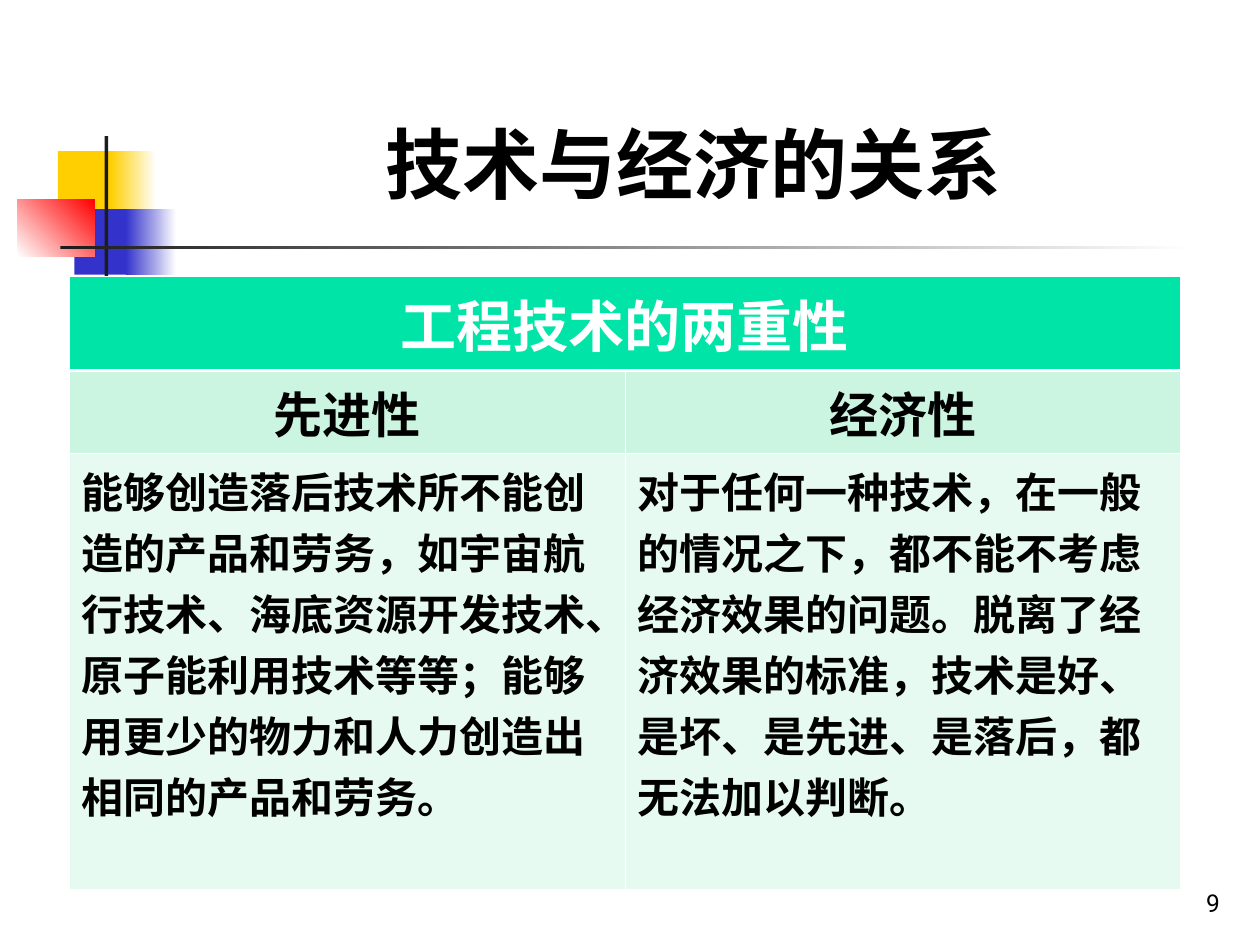
from dataclasses import dataclass

from lxml.etree import SubElement
from pptx import Presentation
from pptx.dml.color import RGBColor
from pptx.enum.text import MSO_ANCHOR, PP_ALIGN
from pptx.enum.shapes import MSO_SHAPE
from pptx.oxml import parse_xml
from pptx.oxml.ns import nsdecls, qn
from pptx.util import Inches, Pt


@dataclass(frozen=True)
class Theme:
    heading_font: str = "Noto Sans CJK SC"
    number_font: str = "Roboto"
    black: str = "000000"
    white: str = "FFFFFF"
    yellow: str = "FFCF01"
    blue: str = "3333CC"
    red: str = "FF0000"
    rule: str = "1C1C1C"
    header_fill: str = "00E4A8"
    subheader_fill: str = "CBF5E1"
    body_fill: str = "E7FAF1"
    title_size: int = 44
    header_size: int = 32
    subheader_size: int = 28
    body_size: int = 24
    number_size: int = 14
    thin_border: float = 0.45
    thick_border: float = 1.47


THEME = Theme()

# Left, top, width, height, colours (one is solid, two a gradient), angle
ORNAMENTS = [
    (0.46, 1.2, 0.48, 0.52, [THEME.yellow], 0),
    (0.88, 1.2, 0.36, 0.52, [THEME.yellow, THEME.white], 0),
    (0.59, 1.66, 0.46, 0.52, [THEME.blue], 0),
    (1, 1.66, 0.4, 0.52, [THEME.blue, THEME.white], 0),
    (0.14, 1.58, 0.61, 0.46, [THEME.white, THEME.red], 45),
    (0.83, 1.08, 0.03, 1.15, [THEME.rule], 0),
    (0.48, 1.95, 9, 0.03, [THEME.rule, THEME.white], 0),
]

TABLE_HEADER = "工程技术的两重性"
ASPECTS = {
    "先进性": "能够创造落后技术所不能创造的产品和劳务，如宇宙航行技术、海底资源开发技术、"
           "原子能利用技术等等；能够用更少的物力和人力创造出相同的产品和劳务。",
    "经济性": "对于任何一种技术，在一般的情况之下，都不能不考虑经济效果的问题。"
           "脱离了经济效果的标准，技术是好、是坏、是先进、是落后，都无法加以判断。",
}


def write_text(frame, text, size, color=THEME.black, align=PP_ALIGN.LEFT,
               font=THEME.heading_font, bold=True):
    paragraph = frame.paragraphs[0]
    paragraph.alignment = align
    run = paragraph.add_run()
    run.text = text
    for attribute, value in {"name": font, "size": Pt(size), "bold": bold}.items():
        setattr(run.font, attribute, value)
    run.font.color.rgb = RGBColor.from_string(color)
    SubElement(run.font._element, qn("a:ea")).set("typeface", font)


def add_label(slide, box, text, size, **style):
    label = slide.shapes.add_textbox(*map(Inches, box))
    frame = label.text_frame
    for attribute, value in {"word_wrap": True,
                             "vertical_anchor": MSO_ANCHOR.BOTTOM}.items():
        setattr(frame, attribute, value)
    write_text(frame, text, size, **style)


def add_ornament(slide, left, top, width, height, colors, angle):
    block = slide.shapes.add_shape(
        MSO_SHAPE.RECTANGLE, *map(Inches, (left, top, width, height)))
    block.shadow.inherit = False
    block.line.fill.background()
    if len(colors) == 1:
        block.fill.solid()
        block.fill.fore_color.rgb = RGBColor.from_string(colors[0])
        return
    block.fill.gradient()
    block.fill.gradient_angle = angle
    for stop, color in zip(block.fill.gradient_stops, colors):
        stop.color.rgb = RGBColor.from_string(color)


def set_borders(cell, **widths):
    properties = cell._tc.get_or_add_tcPr()
    for position, side in enumerate("LRTB"):
        width = Pt(widths.get(side, THEME.thin_border))
        properties.insert(position, parse_xml(
            f'<a:ln{side} {nsdecls("a")} w="{width}"><a:solidFill>'
            f'<a:srgbClr val="{THEME.white}"/></a:solidFill></a:ln{side}>'))


def fill_cell(cell, text, fill, size, borders, **style):
    cell.fill.solid()
    cell.fill.fore_color.rgb = RGBColor.from_string(fill)
    set_borders(cell, **borders)
    if text:
        write_text(cell.text_frame, text, size, **style)


def add_aspect_table(slide):
    row_heights = (0.75, 0.66, 3.46)
    table = slide.shapes.add_table(
        len(row_heights), len(ASPECTS), Inches(0.55), Inches(2.19),
        Inches(8.82), Inches(sum(row_heights))).table
    for row, height in zip(table.rows, row_heights):
        row.height = Inches(height)

    # Header across both columns
    table.cell(0, 0).merge(table.cell(0, len(ASPECTS) - 1))
    for column, text in enumerate((TABLE_HEADER, "")):
        fill_cell(table.cell(0, column), text, THEME.header_fill,
                  THEME.header_size, {"B": THEME.thick_border},
                  color=THEME.white, align=PP_ALIGN.CENTER)

    # One column for each aspect
    for column, (aspect, explanation) in enumerate(ASPECTS.items()):
        fill_cell(table.cell(1, column), aspect, THEME.subheader_fill,
                  THEME.subheader_size, {"T": THEME.thick_border},
                  align=PP_ALIGN.CENTER)
        fill_cell(table.cell(2, column), explanation, THEME.body_fill,
                  THEME.body_size, {})


def main():
    deck = Presentation()
    deck.slide_width, deck.slide_height = Inches(10), Inches(7.5)
    slide = deck.slides.add_slide(deck.slide_layouts[6])

    # Coloured blocks and rules beside the title
    for ornament in ORNAMENTS:
        add_ornament(slide, *ornament)

    # Page number and title
    add_label(slide, (7.7, 6.83, 2.08, 0.5), "9", THEME.number_size,
              align=PP_ALIGN.RIGHT, font=THEME.number_font, bold=False)
    add_label(slide, (1.25, 0.86, 8.52, 0.85), "技术与经济的关系",
              THEME.title_size, align=PP_ALIGN.CENTER)

    add_aspect_table(slide)
    deck.save("out.pptx")


if __name__ == "__main__":
    main()
